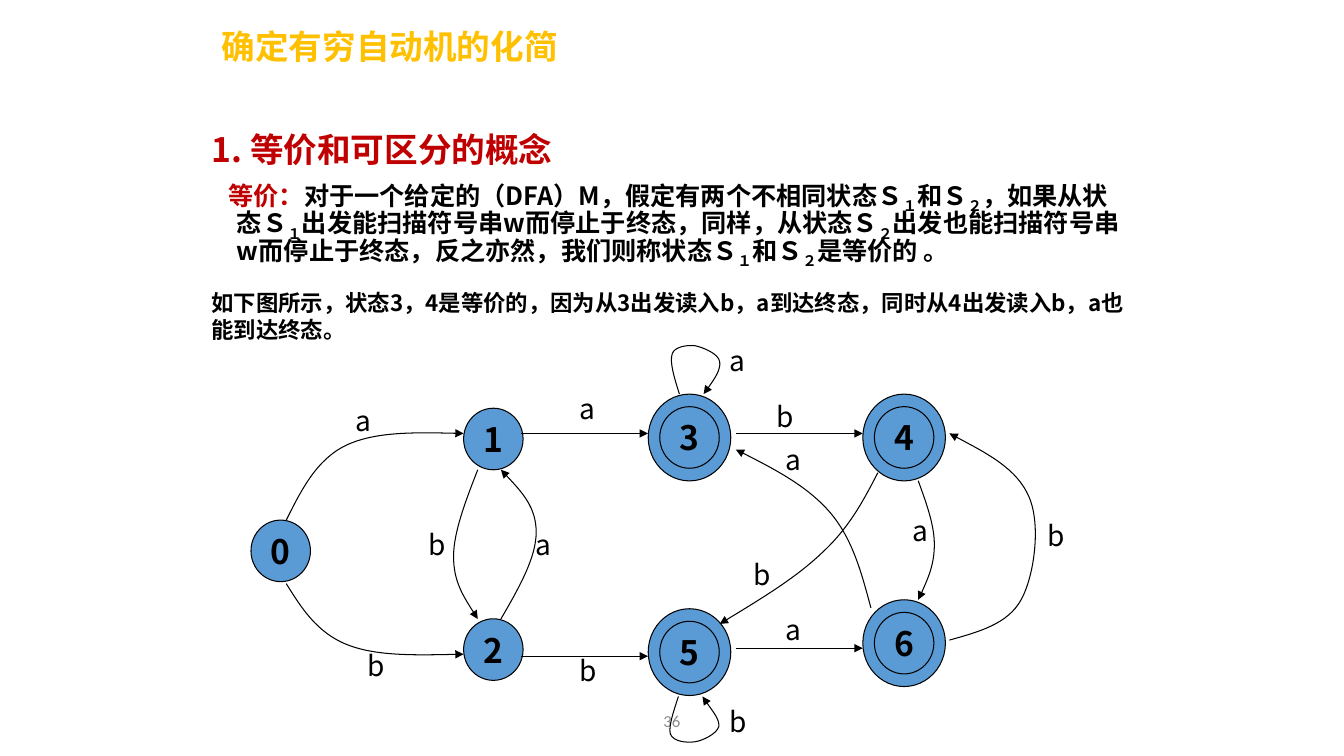
from pptx import Presentation
from pptx.dml.color import RGBColor
from pptx.enum.shapes import MSO_CONNECTOR as Connector, MSO_SHAPE as Preset
from pptx.enum.text import MSO_ANCHOR as Anchor, MSO_AUTO_SIZE as AutoSize, PP_ALIGN as Align
from pptx.oxml.ns import qn
from pptx.util import Pt
from lxml.etree import SubElement

CJK = "Noto Sans CJK SC"
BLACK, RED, GOLD, BLUE, GREY = "000000", "C00000", "FFC000", "5B9BD5", "8C8C8C"

# Automaton, in points inside its box
STATE_SIZE, FINAL_SIZE, LABEL_SIZE = (42.5, 44), (59, 62), (50.4, 31.7)
STATES = {"0": (56.5, 153.5), "1": (208.4, 73.6), "2": (208.4, 224),
          "3": (348.5, 72.5), "4": (501.8, 72.5), "5": (348.5, 225.8), "6": (501.8, 219.4)}
FINAL_STATES = "3456"
STRAIGHT_LENGTH = 90.7
STRAIGHT_STARTS = [(228.2, 69.6), (228.2, 228.7), (381.6, 69.6), (381.6, 223)]
# Each curve: a start, then two control points and an end per segment
CURVES = {
    "0-1": [(60.5, 131.5), (71.3, 109.9), (82.1, 88.3), (103, 78.2),
            (123.8, 68.2), (155.5, 68.9), (187.2, 69.6)],
    "0-2": [(60.5, 176.9), (71.3, 194.2), (82.1, 211.4), (103, 220.1),
            (123.8, 228.7), (155.5, 228), (187.2, 227.3)],
    "1-2": [(197.3, 95.5), (188.6, 117.8), (180, 140.2), (180, 157.4),
            (180, 175.4), (188.6, 188.4), (197.3, 202.1)],
    "2-1": [(213.8, 202.1), (226.8, 179.8), (239, 158.2), (239, 140.2),
            (239, 122.2), (226.8, 109.2), (213.8, 95.5)],
    "4-5": [(483.1, 97.7), (473, 117.1), (463, 136.6), (443.5, 154.6),
            (424.8, 172.6), (397.4, 189.1), (370.1, 205.7)],
    "4-6": [(511.9, 103.4), (517.7, 119.3), (523.4, 135.1), (523.4, 148.8),
            (523.4, 163.2), (517.7, 176.2), (511.9, 188.4)],
    "6-4": [(534.2, 217.2), (555.1, 211.4), (576, 205.7), (585.4, 188.4),
            (594.7, 171.8), (599.8, 135.1), (591.1, 115),
            (582.5, 94.8), (558.7, 82.6), (534.2, 69.6)],
    "6-3": [(478.1, 194.2), (471.6, 169.7), (465.1, 145.2), (449.3, 126.5),
            (433.4, 107.8), (407.5, 94.1), (381.6, 81.1)],
    "3-3": [(341.3, 41.5), (337.7, 30), (334.1, 18.5), (336.2, 12.7),
            (337.7, 7.7), (347, 6.2), (352.8, 7), (358.6, 8.4), (369.4, 12.7),
            (370.1, 18.5), (370.8, 24.2), (365, 32.9), (358.6, 41.5)],
    "5-5": [(340.6, 257.5), (337, 268.3), (333.4, 279.1), (334.8, 284.2),
            (337, 289.9), (346.3, 290.6), (352.1, 289.9), (357.8, 289.2), (367.9, 284.2),
            (369.4, 279.1), (370.1, 274.1), (363.6, 266.2), (357.8, 257.5)],
}
LABELS = {
    "a": [(103, 44.4), (231.1, 133), (262.8, 35.8), (409.7, 72.5),
          (500.4, 123.6), (409.7, 194.2), (370.1, 1.9)],
    "b": [(111.6, 219.4), (154.8, 133), (262.8, 223), (370.1, 259.7),
          (387.4, 154.6), (596.9, 126.5), (403.9, 41.5)],
}

# Definition text; the full-width digits are subscripts
DEFINITION = ["对于一个给定的（DFA）M，假定有两个不相同状态Ｓ", "１", "和Ｓ", "２",
              "，如果从状态Ｓ", "１", "出发能扫描符号串w而停止于终态，同样，从状态Ｓ", "２",
              "出发也能扫描符号串w而停止于终态，反之亦然，我们则称状态Ｓ", "１",
              "和Ｓ", "２", "是等价的 。"]


def rgb(hex_colour):
    return RGBColor.from_string(hex_colour)


def add_run(paragraph, text, size, colour=BLACK, bold=False, face=CJK, subscript=False):
    run = paragraph.add_run()
    run.text = text
    run.font.size, run.font.bold = Pt(size), bold
    run.font.color.rgb = rgb(colour)
    run.font.name = face
    properties = run.font._element if hasattr(run.font, "_element") else run._r.get_or_add_rPr()
    SubElement(properties, qn("a:ea")).set("typeface", face)
    if subscript:
        properties.set("baseline", "-25000")


def place(part, box):
    part.left, part.top, part.width, part.height = [Pt(length) for length in box]


def prepare_frame(part, anchor=Anchor.TOP, wrap=True):
    frame = part.text_frame
    frame.word_wrap, frame.vertical_anchor = wrap, anchor
    frame.auto_size = AutoSize.NONE
    return frame


def add_text(shapes, box, anchor=Anchor.TOP):
    return prepare_frame(shapes.add_textbox(*[Pt(length) for length in box]), anchor).paragraphs[0]


def style_line(part, arrow=False):
    part.line.color.rgb = rgb(BLACK)
    part.line.width = Pt(0.75)
    if arrow:
        SubElement(part.line._get_or_add_ln(), qn("a:tailEnd")).set("type", "triangle")


# Title
def add_title(slide, box):
    title = slide.shapes.title
    place(title, box)
    heading = prepare_frame(title).paragraphs[0]
    heading.alignment = Align.LEFT
    add_run(heading, "确定有穷自动机的化简", 24, GOLD, True)


# Definition of equivalence
def add_definition(slide, box):
    body = slide.placeholders[1]
    place(body, box)
    frame = prepare_frame(body)
    concept, equivalence = frame.paragraphs[0], frame.add_paragraph()
    for paragraph, indent, space in ((concept, -18, 0), (equivalence, -6, 10)):
        properties = paragraph._p.get_or_add_pPr()
        properties.set("marL", str(Pt(18)))
        properties.set("indent", str(Pt(indent)))
        SubElement(properties, qn("a:buNone"))
        paragraph.line_spacing, paragraph.space_before = 0.8, Pt(space)
    add_run(concept, "1. 等价和可区分的概念", 24, RED, True)
    add_run(equivalence, "等价：", 18, RED, True)
    for piece in DEFINITION:
        add_run(equivalence, piece, 18, bold=True, subscript=piece in "１２")


# Explanation above the diagram
def add_example(slide, box):
    example = add_text(slide.shapes, box)
    add_run(example, "如下图所示，状态3，4是等价的，因为从3出发读入b，a到达终态，"
                     "同时从4出发读入b，a也能到达终态", 16, bold=True)
    add_run(example, "。", 16, bold=True, face="Roboto")


def add_circle(shapes, centre, size):
    corner = [middle - length / 2 for middle, length in zip(centre, size)]
    circle = shapes.add_shape(Preset.OVAL, *[Pt(length) for length in (*corner, *size)])
    circle.shadow.inherit = False
    circle.fill.solid()
    circle.fill.fore_color.rgb = rgb(BLUE)
    style_line(circle)
    return circle


def add_state(shapes, name, centre):
    if name in FINAL_STATES:
        shapes = shapes.add_group_shape().shapes
        add_circle(shapes, centre, FINAL_SIZE)
    state = add_circle(shapes, centre, STATE_SIZE)
    number = prepare_frame(state, Anchor.MIDDLE, wrap=False).paragraphs[0]
    number.alignment = Align.CENTER
    add_run(number, name, 24, bold=True)


def add_straight(shapes, start):
    x, y = start
    edge = shapes.add_connector(Connector.STRAIGHT, Pt(x), Pt(y), Pt(x + STRAIGHT_LENGTH), Pt(y))
    style_line(edge, arrow=True)
    SubElement(edge._element.spPr, qn("a:effectLst"))


def add_curve(shapes, points):
    start, *rest = [(Pt(x), Pt(y)) for x, y in points]
    builder = shapes.build_freeform(*start)
    builder.add_line_segments(rest, close=False)
    edge = builder.convert_to_shape()
    edge.shadow.inherit = False
    edge.fill.background()
    style_line(edge, arrow=True)
    # Every three line segments become one Bézier segment
    outline = next(edge._element.iter(qn("a:path")))
    segments = outline.findall(qn("a:lnTo"))
    for first in range(0, len(segments), 3):
        bezier = SubElement(outline, qn("a:cubicBezTo"))
        for segment in segments[first:first + 3]:
            bezier.append(segment[0])
            outline.remove(segment)


# State diagram
def add_automaton(slide, box):
    left, top = box[:2]
    shapes = slide.shapes

    def inside(point):
        return left + point[0], top + point[1]

    for name, centre in STATES.items():
        add_state(shapes, name, inside(centre))
    for start in STRAIGHT_STARTS:
        add_straight(shapes, inside(start))
    for points in CURVES.values():
        add_curve(shapes, [inside(point) for point in points])
    for symbol, corners in LABELS.items():
        for corner in corners:
            add_run(add_text(shapes, (*inside(corner), *LABEL_SIZE)), symbol, 20)


# Page number
def add_page_number(slide, box):
    page = add_text(slide.shapes, box, Anchor.MIDDLE)
    page.alignment = Align.CENTER
    add_run(page, "36", 12, GREY, face="Calibri")


def main():
    deck = Presentation()
    deck.slide_width, deck.slide_height = Pt(960), Pt(540)
    slide = deck.slides.add_slide(deck.slide_layouts[1])
    add_page_number(slide, (318, 500.5, 324, 28.8))
    add_title(slide, (151.2, 15, 510.5, 36))
    add_definition(slide, (144, 94.3, 672, 95.8))
    add_example(slide, (144, 203, 672, 46))
    add_automaton(slide, (144, 240, 672, 300))
    deck.save("out.pptx")


if __name__ == "__main__":
    main()
